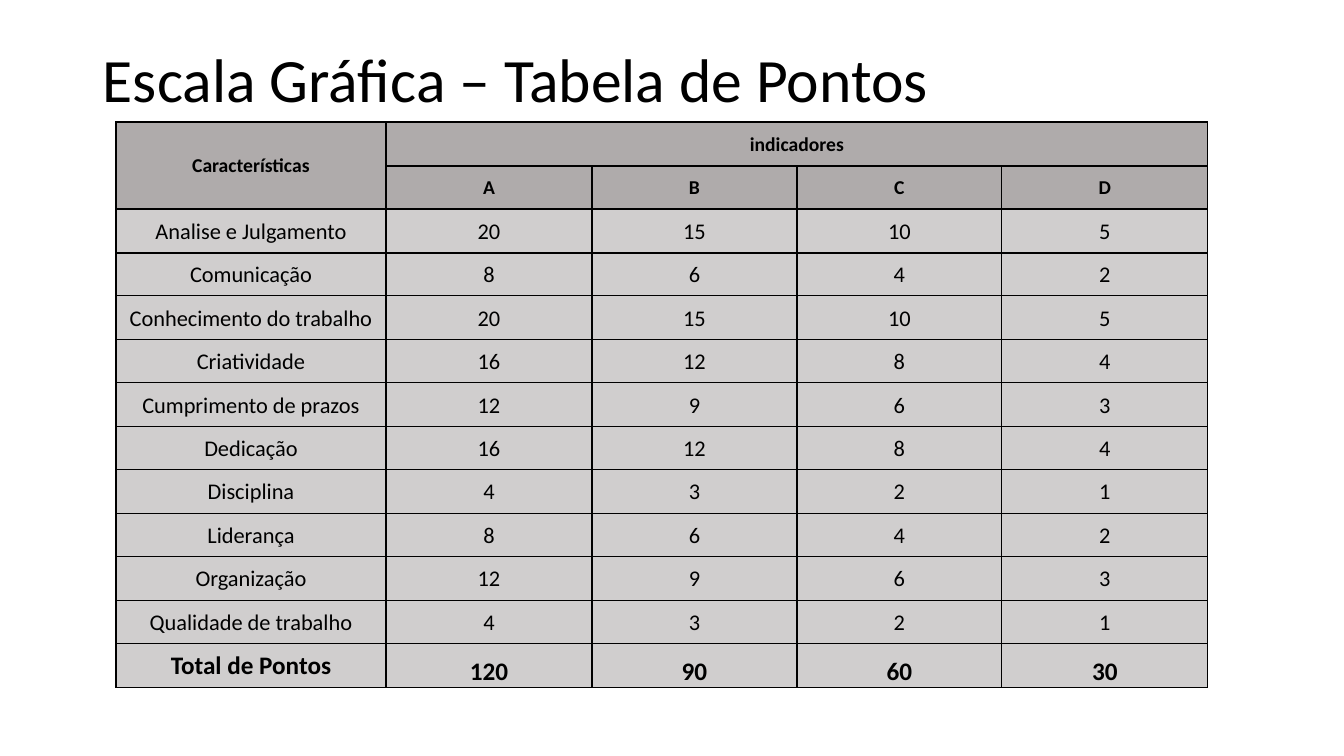
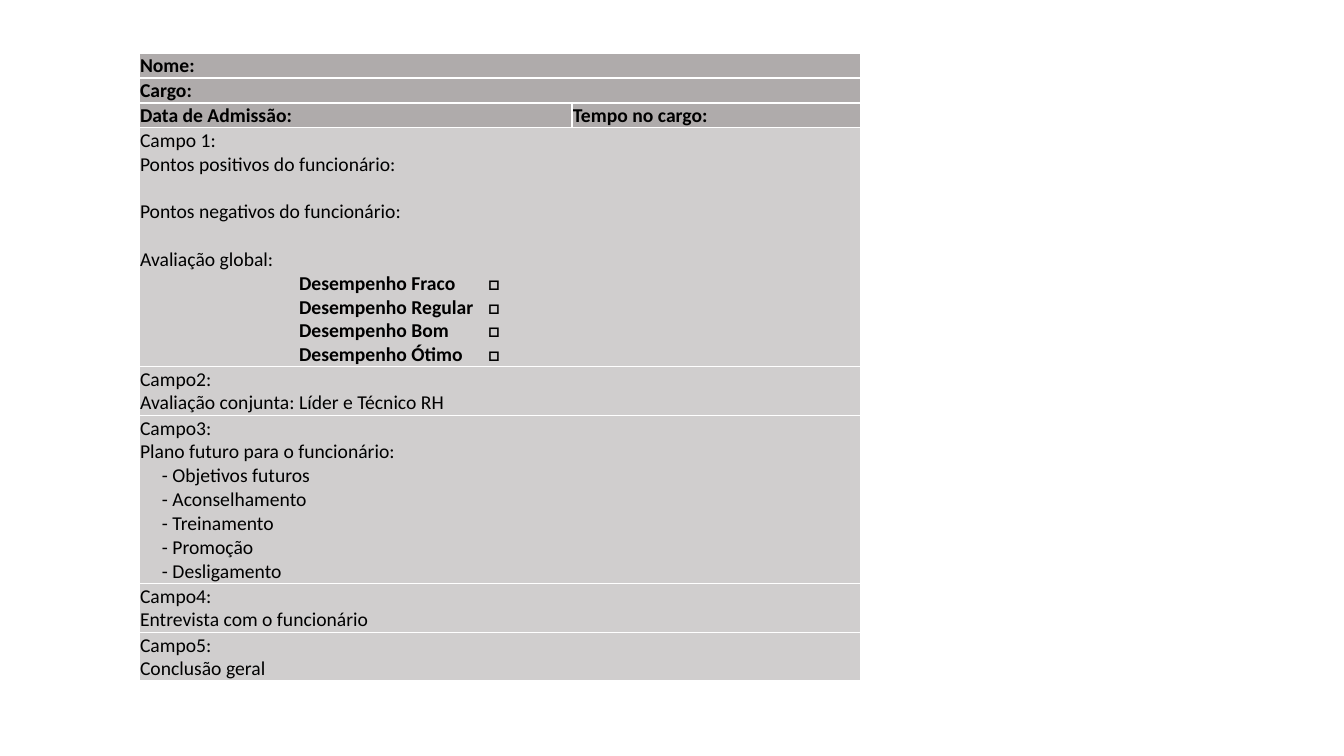
from dataclasses import dataclass

from lxml import etree
from pptx import Presentation
from pptx.dml.color import RGBColor
from pptx.enum.text import MSO_ANCHOR, PP_ALIGN
from pptx.oxml.ns import qn
from pptx.slide import Slide
from pptx.table import Table, _Cell
from pptx.text.text import _Paragraph
from pptx.util import Emu, Pt

LEFT, CENTER = PP_ALIGN.LEFT, PP_ALIGN.CENTER
TOP, MIDDLE, BOTTOM = MSO_ANCHOR.TOP, MSO_ANCHOR.MIDDLE, MSO_ANCHOR.BOTTOM

# Shared style
FONT = "Calibri"
BLACK, WHITE = "000000", "FFFFFF"
HEADER_FILL, BODY_FILL = "AFABAB", "D0CECE"
EMU_PER_PIXEL = 914400 / 100.8
BORDER_WIDTH = Pt(1)
LINE_GAP = 17


@dataclass
class Line:
    text: str
    bold: bool = False
    indent: int = 0
    tabs: tuple[int, ...] = ()
    gap: int = 0


@dataclass
class CellContent:
    row: int
    column: int
    lines: list[Line]
    fill: str = BODY_FILL
    size: int = 14
    align: PP_ALIGN = LEFT
    anchor: MSO_ANCHOR = MIDDLE
    row_span: int = 1
    column_span: int = 1


@dataclass
class Grid:
    left: int
    top: int
    widths: list[int]
    heights: list[int]
    border: str


def pixels(length: float) -> Emu:
    return Emu(round(length * EMU_PER_PIXEL))


def color(value: str) -> RGBColor:
    return RGBColor.from_string(value)


def split_evenly(total: int, count: int) -> list[int]:
    edges = [round(total * index / count) for index in range(count + 1)]
    return [end - start for start, end in zip(edges, edges[1:])]


def format_runs(paragraph: _Paragraph, size: int, bold: bool = False) -> None:
    for run in paragraph.runs:
        run.font.name = FONT
        run.font.size = Pt(size)
        run.font.bold = bold
        run.font.color.rgb = color(BLACK)


def add_title(slide: Slide, text: str) -> None:
    shape = slide.shapes.add_textbox(pixels(93), pixels(40), pixels(1141), pixels(86))
    frame = shape.text_frame
    frame.word_wrap = True
    frame.vertical_anchor = MIDDLE
    frame.text = text
    paragraph = frame.paragraphs[0]
    paragraph.line_spacing = 0.9
    format_runs(paragraph, 44)


def add_grid(slide: Slide, grid: Grid) -> Table:
    shape = slide.shapes.add_table(
        len(grid.heights), len(grid.widths), pixels(grid.left), pixels(grid.top),
        pixels(sum(grid.widths)), pixels(sum(grid.heights)))
    table = shape.table
    table.first_row = False
    table.horz_banding = False
    for column, width in zip(table.columns, grid.widths):
        column.width = pixels(width)
    for row, height in zip(table.rows, grid.heights):
        row.height = pixels(height)
    for cell in table.iter_cells():
        set_borders(cell, grid.border)
    return table


def set_borders(cell: _Cell, border: str) -> None:
    properties = cell._tc.get_or_add_tcPr()
    for side in ("a:lnL", "a:lnR", "a:lnT", "a:lnB"):
        line = etree.SubElement(properties, qn(side), w=str(BORDER_WIDTH))
        fill = etree.SubElement(line, qn("a:solidFill"))
        etree.SubElement(fill, qn("a:srgbClr"), val=border)


def set_indent_and_tabs(paragraph: _Paragraph, line: Line) -> None:
    properties = paragraph._p.get_or_add_pPr()
    if line.indent:
        properties.set("marL", str(pixels(line.indent)))
        properties.set("indent", "0")
    if line.tabs:
        tab_list = etree.SubElement(properties, qn("a:tabLst"))
        for position in line.tabs:
            etree.SubElement(tab_list, qn("a:tab"), pos=str(pixels(position)), algn="l")


def fill_cell(table: Table, content: CellContent) -> None:
    cell = table.cell(content.row, content.column)
    if content.row_span * content.column_span > 1:
        cell.merge(table.cell(content.row + content.row_span - 1,
                              content.column + content.column_span - 1))
    cell.fill.solid()
    cell.fill.fore_color.rgb = color(content.fill)
    cell.margin_left = cell.margin_right = cell.margin_top = pixels(1)
    cell.margin_bottom = 0
    cell.vertical_anchor = content.anchor
    frame = cell.text_frame
    frame.text = "\n".join(line.text for line in content.lines)
    for paragraph, line in zip(frame.paragraphs, content.lines):
        paragraph.alignment = content.align
        if line.gap:
            paragraph.space_after = Pt(line.gap)
        set_indent_and_tabs(paragraph, line)
        format_runs(paragraph, content.size, line.bold)


# Points table
POINTS = [
    ("Analise e Julgamento", 20, 15, 10, 5),
    ("Comunicação", 8, 6, 4, 2),
    ("Conhecimento do trabalho", 20, 15, 10, 5),
    ("Criatividade", 16, 12, 8, 4),
    ("Cumprimento de prazos", 12, 9, 6, 3),
    ("Dedicação", 16, 12, 8, 4),
    ("Disciplina", 4, 3, 2, 1),
    ("Liderança", 8, 6, 4, 2),
    ("Organização", 12, 9, 6, 3),
    ("Qualidade de trabalho", 4, 3, 2, 1),
]
TOTALS = ("Total de Pontos", 120, 90, 60, 30)


def header(row: int, column: int, text: str, align: PP_ALIGN = LEFT,
           row_span: int = 1, column_span: int = 1) -> CellContent:
    return CellContent(row, column, [Line(text, bold=True)], HEADER_FILL, align=align,
                       row_span=row_span, column_span=column_span)


def build_points_slide(slide: Slide) -> None:
    contents = [
        header(0, 0, "Características", CENTER, row_span=2),
        header(0, 1, "indicadores", CENTER, column_span=4),
    ]
    contents += [header(1, column, grade, CENTER) for column, grade in enumerate("ABCD", 1)]
    for row, values in enumerate([*POINTS, TOTALS], 2):
        is_total = values is TOTALS
        for column, value in enumerate(values):
            contents.append(CellContent(
                row, column, [Line(str(value), bold=is_total)],
                size=18 if is_total else 16, align=CENTER,
                anchor=BOTTOM if is_total and column else MIDDLE))
    row_count = len(POINTS) + 3
    table = add_grid(slide, Grid(116, 122, [270, *split_evenly(822, 4)],
                                 split_evenly(566, row_count), BLACK))
    for content in contents:
        fill_cell(table, content)
    add_title(slide, "Escala Gráfica – Tabela de Pontos")


# Evaluation form
RATINGS = ("Fraco", "Regular", "Bom", "Ótimo")
PLANS = ("Objetivos futuros", "Aconselhamento", "Treinamento", "Promoção", "Desligamento")
FIELDS = [
    [
        Line("Campo 1:"),
        Line("Pontos positivos do funcionário:", gap=LINE_GAP),
        Line("Pontos negativos do funcionário:", gap=LINE_GAP),
        Line("Avaliação global:"),
        *(Line(f"\tDesempenho {rating}\t□", bold=True, tabs=(159, 348)) for rating in RATINGS),
    ],
    [Line("Campo2:"), Line("Avaliação conjunta: Líder e Técnico RH")],
    [
        Line("Campo3:"),
        Line("Plano futuro para o funcionário:"),
        *(Line(f"- {plan}", indent=22) for plan in PLANS),
    ],
    [Line("Campo4:"), Line("Entrevista com o funcionário")],
    [Line("Campo5:"), Line("Conclusão geral")],
]


def build_form_slide(slide: Slide) -> None:
    contents = [
        header(0, 0, "Nome:", column_span=2),
        header(1, 0, "Cargo:", column_span=2),
        header(2, 0, "Data de Admissão:"),
        header(2, 1, "Tempo no cargo:"),
    ]
    contents += [CellContent(row, 0, lines, anchor=TOP, column_span=2)
                 for row, lines in enumerate(FIELDS, 3)]
    table = add_grid(slide, Grid(139, 53, [433, 289],
                                 [25, 25, 24, 239, 49, 168, 49, 48], WHITE))
    for content in contents:
        fill_cell(table, content)


def main() -> None:
    presentation = Presentation()
    presentation.slide_width = pixels(1344)
    presentation.slide_height = pixels(756)
    blank_layout = presentation.slide_layouts[6]
    for build_slide in (build_points_slide, build_form_slide):
        build_slide(presentation.slides.add_slide(blank_layout))
    presentation.save("out.pptx")


main()
